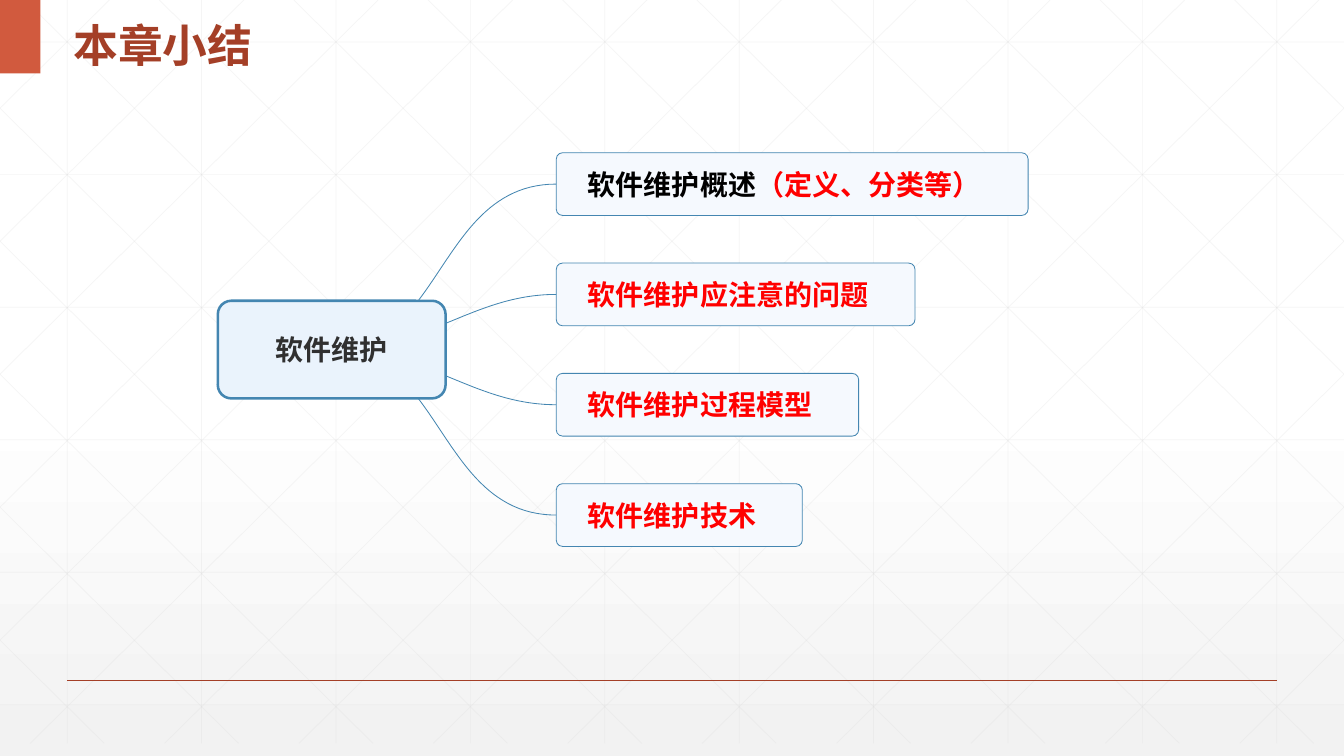
from copy import deepcopy

from lxml import etree
from pptx import Presentation
from pptx.dml.color import RGBColor
from pptx.enum.shapes import MSO_CONNECTOR, MSO_SHAPE
from pptx.enum.text import MSO_ANCHOR, PP_ALIGN
from pptx.oxml.ns import qn
from pptx.util import Cm, Pt

STRAIGHT = MSO_CONNECTOR.STRAIGHT
RECT, ROUNDED = MSO_SHAPE.RECTANGLE, MSO_SHAPE.ROUNDED_RECTANGLE
MIDDLE = MSO_ANCHOR.MIDDLE
LEFT, CENTER = PP_ALIGN.LEFT, PP_ALIGN.CENTER

FONT = "Noto Sans CJK SC"
W, H = 33.87, 19.05
RUST, BLUE, RED, GRAY = "A43F27", "4486B1", "FF0000", "D9D9D9"


def rgb(color):
    return RGBColor.from_string(color)


def add_run(p, text, size=20, color="000000", bold=True):
    r = p.add_run()
    r.text = text
    r.font.size, r.font.bold = Pt(size), bold
    r.font.color.rgb = rgb(color)
    r.font.name = FONT
    etree.SubElement(r.font._element, qn("a:ea"), typeface=FONT)


class Deck:
    def __init__(self):
        self.prs = Presentation()
        self.prs.slide_width, self.prs.slide_height = Cm(W), Cm(H)
        self.s = self.prs.slides.add_slide(self.prs.slide_layouts[6])

    def background(self, stops):
        fill = self.s.background.fill
        fill.gradient()
        fill.gradient_angle = 270
        first = fill.gradient_stops[0]._gs
        first.addnext(deepcopy(first))
        for stop, (position, color) in zip(fill.gradient_stops, stops):
            stop.position = position
            stop.color.rgb = rgb(color)

    def line(self, x1, y1, x2, y2, color, width, alpha=None):
        c = self.s.shapes.add_connector(
            STRAIGHT, Cm(x1), Cm(y1), Cm(x2), Cm(y2))
        c.line.color.rgb, c.line.width = rgb(color), Pt(width)
        if alpha:
            clr = c.line._ln.find(".//" + qn("a:srgbClr"))
            etree.SubElement(clr, qn("a:alpha"), val=str(alpha * 1000))
        etree.SubElement(c._element.spPr, qn("a:effectLst"))

    def box(self, x, y, w, h, fill, line=None, width=0.6, radius=None):
        kind = RECT if radius is None else ROUNDED
        sp = self.s.shapes.add_shape(kind, Cm(x), Cm(y), Cm(w), Cm(h))
        sp.shadow.inherit = False
        sp.fill.solid()
        sp.fill.fore_color.rgb = rgb(fill)
        if line:
            sp.line.color.rgb, sp.line.width = rgb(line), Pt(width)
        else:
            sp.line.fill.background()
        if radius is not None:
            sp.adjustments[0] = radius / h
        return sp

    def text_box(self, x, y, w, h):
        return self.s.shapes.add_textbox(Cm(x), Cm(y), Cm(w), Cm(h))

    def label(self, sp, runs, size=20, align=LEFT, inset=0, spacing=None):
        tf = sp.text_frame
        tf.word_wrap, tf.vertical_anchor = True, MIDDLE
        tf.margin_top = tf.margin_bottom = tf.margin_right = 0
        tf.margin_left = Cm(inset)
        p = tf.paragraphs[0]
        p.alignment, p.line_spacing = align, spacing
        for text, color in runs:
            add_run(p, text, size=size, color=color)

    def curve(self, points, color, width, steps=32):
        """Cubic Bezier curve through four control points."""
        def at(t):
            weights = ((1 - t) ** 3, 3 * t * (1 - t) ** 2,
                       3 * t * t * (1 - t), t ** 3)
            return [Cm(sum(k * v for k, v in zip(weights, axis)))
                    for axis in zip(*points)]
        dots = [at(i / steps) for i in range(steps + 1)]
        fb = self.s.shapes.build_freeform(*dots[0], scale=1.0)
        fb.add_line_segments(dots[1:], close=False)
        sp = fb.convert_to_shape()
        sp.shadow.inherit = False
        sp.fill.background()
        sp.line.color.rgb, sp.line.width = rgb(color), Pt(width)


def draw_grid(d):
    step, bottom, run = W / 10, 18.73, 18.93
    slope = bottom / run
    lines = [(step * (i + 0.5), 0, step * (i + 0.5), bottom)
             for i in range(10)]
    lines += [(0, 1.06 + 3.34 * i, W, 1.06 + 3.34 * i) for i in range(6)]
    # Diagonals clipped to the slide, each with its mirror image
    for i in range(-5, 10):
        start = 0.63 + step * i
        x1, x2 = max(start, 0), min(start + run, W)
        y1, y2 = (x1 - start) * slope, (x2 - start) * slope
        lines += [(x1, y1, x2, y2), (W - x1, y1, W - x2, y2)]
    for ends in lines:
        d.line(*ends, GRAY, 0.5, alpha=25)


def draw_mind_map(d):
    leaves = [
        (11.89, [("软件维护概述", "000000"), ("（定义、分类等）", RED)]),
        (9.04, [("软件维护应注意的问题", RED)]),
        (7.62, [("软件维护过程模型", RED)]),
        (6.2, [("软件维护技术", RED)]),
    ]
    hub_x, hub_w, hub_h, mid_y = 5.49, 5.74, 2.46, 8.81
    leaf_x, leaf_h, pitch = 14.02, 1.58, 2.78
    # Control points of a branch, as x and distance from the hub's middle
    outer = [(10.54, 1.23), (11.48, 2.46), (12.14, 1.5 * pitch)]
    inner = [(11.23, 0.66), (12.09, 1.01), (12.93, 0.5 * pitch)]

    # Branches
    for i, (branch, side) in enumerate(
            [(outer, -1), (inner, -1), (inner, 1), (outer, 1)]):
        points = [(x, mid_y + side * dy) for x, dy in branch]
        points.append((leaf_x, mid_y + pitch * (i - 1.5)))
        d.curve(points, BLUE, 0.6)

    # Hub
    hub = d.box(hub_x, mid_y - hub_h / 2, hub_w, hub_h, "EAF3FC",
                line=BLUE, width=1.8, radius=0.34)
    d.label(hub, [("软件维护", "303030")], align=CENTER)

    # Leaves
    for i, (width, runs) in enumerate(leaves):
        y = mid_y + pitch * (i - 1.5) - leaf_h / 2
        leaf = d.box(leaf_x, y, width, leaf_h, "F5F9FE",
                     line=BLUE, radius=0.16)
        d.label(leaf, runs, inset=0.75)


def main():
    d = Deck()
    # Backdrop
    d.background([(0, "FFFFFF"), (0.53, "FFFFFF"), (1, "F2F2F2")])
    draw_grid(d)
    d.line(1.69, 17.15, 32.18, 17.15, RUST, 1)
    # Title
    d.box(0, 0, 1.02, 1.85, "D15A3E")
    d.label(d.text_box(1.6, 0, 14.45, 1.85), [("本章小结", RUST)],
            size=32, inset=0.25, spacing=1.3)
    draw_mind_map(d)
    d.prs.save("out.pptx")


if __name__ == "__main__":
    main()
